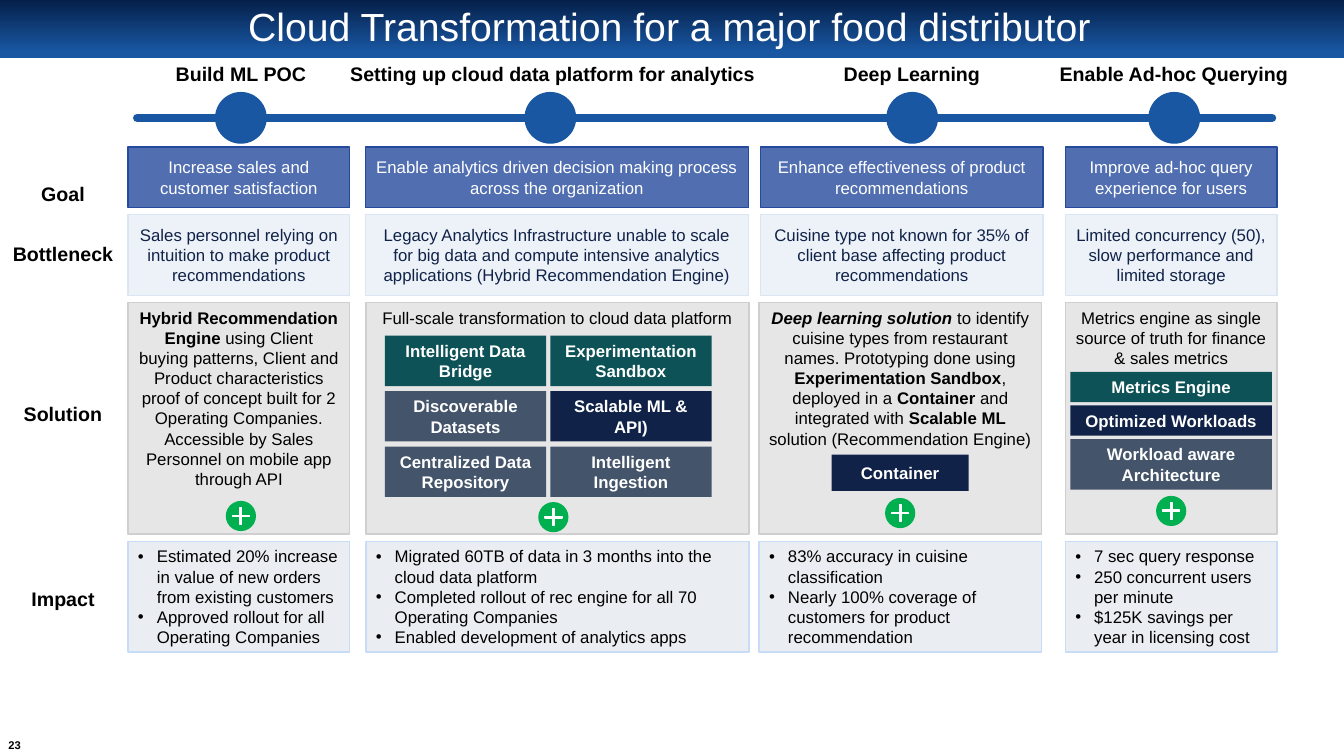
from dataclasses import dataclass
from typing import Optional, Union

import pptx
import pptx.dml.color
import pptx.enum.shapes
import pptx.enum.text
import pptx.oxml.ns
import pptx.util
from lxml import etree

Pt = pptx.util.Pt
SHAPE = pptx.enum.shapes.MSO_SHAPE
ALIGN = pptx.enum.text.PP_ALIGN
ANCHOR = pptx.enum.text.MSO_ANCHOR
qn = pptx.oxml.ns.qn

COLORS = {
    "white": "FFFFFF", "black": "000000", "banner_top": "052049", "blue": "1957A3",
    "goal": "254A9D", "bottleneck": "DBE6F2", "solution": "D0CECE",
    "impact": "D6DCE5", "impact_border": "C7DCF6", "navy": "112248",
    "teal": "0D5256", "slate": "44546A", "green": "00B050",
}


@dataclass(frozen=True)
class Run:
    text: str
    bold: bool = False
    italic: bool = False


Text = Union[str, tuple[Run, ...]]


@dataclass(frozen=True)
class Box:
    left: float
    top: float
    width: float
    height: float


@dataclass(frozen=True)
class Row:
    label: str
    label_top: float
    height: float
    fill: str
    border: str
    opacity: int
    text_color: str
    anchor: ANCHOR
    bullet: bool = False


@dataclass(frozen=True)
class Stage:
    heading: str
    heading_center: float
    heading_width: float
    milestone_center: float
    upper_left: float
    lower_left: float
    width: float
    badge_left: float
    badge_top: float
    texts: tuple[Text, Text, Text, Text]


@dataclass(frozen=True)
class Component:
    text: str
    fill: str
    box: Box


ROW_TOP, ROW_GAP = 105.1, 5.04
ROWS = [
    Row("Goal", 126, 43.2, "goal", "goal", 80, "white", ANCHOR.MIDDLE),
    Row("Bottleneck", 169.2, 57.6, "bottleneck", "bottleneck", 50, "navy", ANCHOR.MIDDLE),
    Row("Solution", 283.7, 165.6, "solution", "solution", 50, "black", ANCHOR.TOP),
    Row("Impact", 415.4, 79.2, "impact", "impact_border", 50, "black", ANCHOR.TOP, True),
]
STAGES = [
    Stage("Build ML POC", 172.1, 135.4, 172.1, 91.5, 91.5, 158.4, 161.3, 357.8, (
        "Increase sales and customer satisfaction",
        "Sales personnel relying on intuition to make product recommendations",
        (Run("Hybrid Recommendation Engine", bold=True),
         Run(" using Client buying patterns, Client and Product characteristics proof of concept "
             "built for 2 Operating Companies. Accessible by Sales Personnel on mobile app through API")),
        "Estimated 20% increase in value of new orders from existing customers\n"
        "Approved rollout for all Operating Companies")),
    Stage("Setting up cloud data platform for analytics", 394.9, 357.8, 393.1,
          261, 261.4, 273.6, 384.5, 358.6, (
        "Enable analytics driven decision making process across the organization",
        "Legacy Analytics Infrastructure unable to scale for big data and compute intensive "
        "analytics applications (Hybrid Recommendation Engine)",
        "Full-scale transformation to cloud data platform",
        "Migrated 60TB of data in 3 months into the cloud data platform\n"
        "Completed rollout of rec engine for all 70 Operating Companies\n"
        "Enabled development of analytics apps")),
    Stage("Deep Learning", 651.4, 120.2, 651.6, 543.4, 542.3, 201.6, 632.2, 355.7, (
        "Enhance effectiveness of product recommendations",
        "Cuisine type not known for 35% of client base affecting product recommendations",
        (Run("Deep learning solution ", bold=True, italic=True),
         Run("to identify cuisine types from restaurant names. Prototyping done using "),
         Run("Experimentation Sandbox", bold=True), Run(", deployed in a "),
         Run("Container ", bold=True), Run("and integrated with "),
         Run("Scalable ML ", bold=True), Run("solution (Recommendation Engine)")),
        "83% accuracy in cuisine classification\n"
        "Nearly 100% coverage of customers for product recommendation")),
    Stage("Enable Ad-hoc Querying", 838.5, 196.6, 838.8, 761, 761, 151.2, 825.8, 354.2, (
        "Improve ad-hoc query experience for users",
        "Limited concurrency (50), slow performance and limited storage",
        "Metrics engine as single source of truth for finance & sales metrics",
        "7 sec query response\n250 concurrent users per minute\n"
        "$125K savings per year in licensing cost")),
]
PLATFORM_PARTS = [
    ("Intelligent Data Bridge", "teal"), ("Experimentation Sandbox", "teal"),
    ("Discoverable Datasets", "slate"), ("Scalable ML & API)", "navy"),
    ("Centralized Data Repository", "slate"), ("Intelligent Ingestion", "slate"),
]
COMPONENTS = [
    Component(text, fill, Box(275 + index % 2 * 118.1, 239.8 + index // 2 * 39.6, 115.2, 36))
    for index, (text, fill) in enumerate(PLATFORM_PARTS)
] + [
    Component("Container", "navy", Box(594, 324.7, 97.9, 25.9)),
    Component("Metrics Engine", "teal", Box(764.6, 265.7, 144, 21.6)),
    Component("Optimized Workloads", "navy", Box(764.6, 289.6, 144, 21.6)),
    Component("Workload aware Architecture", "slate", Box(764.6, 313.7, 144, 36)),
]


def rgb(name: str) -> pptx.dml.color.RGBColor:
    return pptx.dml.color.RGBColor.from_string(COLORS[name])


def place(box: Box) -> tuple:
    return Pt(box.left), Pt(box.top), Pt(box.width), Pt(box.height)


def write_text(shape, text: Text, *, size: float = 12, color: str = "black", bold: bool = False,
               align: ALIGN = ALIGN.CENTER, anchor: ANCHOR = ANCHOR.MIDDLE, bullet: bool = False,
               wrap: bool = True, inset: Optional[float] = None, spacing: float = 1.0) -> None:
    frame = shape.text_frame
    frame.word_wrap = wrap
    frame.vertical_anchor = anchor
    if inset is not None:
        frame.margin_left = frame.margin_right = frame.margin_top = frame.margin_bottom = Pt(inset)
    lines = [(Run(line, bold),) for line in text.split("\n")] if isinstance(text, str) else [text]
    for index, line in enumerate(lines):
        paragraph = frame.add_paragraph() if index else frame.paragraphs[0]
        paragraph.alignment = align
        paragraph.line_spacing = spacing
        if bullet:
            properties = paragraph._p.get_or_add_pPr()
            properties.set("marL", str(Pt(13.5)))
            properties.set("indent", str(-Pt(13.5)))
            etree.SubElement(properties, qn("a:buFont"), typeface="Arial")
            etree.SubElement(properties, qn("a:buChar"), char="•")
        for part in line:
            run = paragraph.add_run()
            run.text = part.text
            run.font.name = "Arial"
            run.font.size = Pt(size)
            run.font.bold = part.bold
            run.font.italic = part.italic
            run.font.color.rgb = rgb(color)


def add_label(slide, text: str, box: Box, **text_format) -> None:
    write_text(slide.shapes.add_textbox(*place(box)), text, **text_format)


def add_figure(slide, kind: SHAPE, box: Box, fill: str, border: Optional[str] = None,
               opacity: int = 100):
    shape = slide.shapes.add_shape(kind, *place(box))
    shape.shadow.inherit = False
    shape.fill.solid()
    shape.fill.fore_color.rgb = rgb(fill)
    if opacity < 100:
        color = shape._element.spPr.find(qn("a:solidFill"))[0]
        etree.SubElement(color, qn("a:alpha"), val=str(opacity * 1000))
    if border:
        shape.line.color.rgb = rgb(border)
        shape.line.width = Pt(1)
    else:
        shape.line.fill.background()
    return shape


def add_banner(slide) -> None:
    banner = add_figure(slide, SHAPE.RECTANGLE, Box(0, 0, 960, 41.5), "blue")
    banner.fill.gradient()
    banner.fill.gradient_angle = 270
    for stop, color, position in zip(banner.fill.gradient_stops, ("banner_top", "blue"), (0, 0.9)):
        stop.color.rgb = rgb(color)
        stop.position = position
    add_label(slide, "Cloud Transformation for a major food distributor",
              Box(47.5, 4.3, 861, 32.4), size=28, color="white", spacing=0.9)


def add_timeline(slide) -> None:
    line = slide.shapes.add_connector(pptx.enum.shapes.MSO_CONNECTOR.STRAIGHT,
                                      Pt(98), Pt(84.2), Pt(908.6), Pt(84.2))
    line.line.color.rgb = rgb("blue")
    line.line.width = Pt(6)
    properties = line._element.spPr
    properties.find(qn("a:ln")).set("cap", "rnd")
    etree.SubElement(properties, qn("a:effectLst"))


def add_stage(slide, stage: Stage) -> None:
    add_figure(slide, SHAPE.OVAL, Box(stage.milestone_center - 18, 66.2, 36, 36), "blue", "blue")
    heading_left = stage.heading_center - stage.heading_width / 2
    add_label(slide, stage.heading, Box(heading_left, 40.7, stage.heading_width, 24.2),
              size=14, bold=True, wrap=False)
    top = ROW_TOP
    for index, (row, text) in enumerate(zip(ROWS, stage.texts)):
        left = stage.upper_left if index < 2 else stage.lower_left
        cell = add_figure(slide, SHAPE.RECTANGLE, Box(left, top, stage.width, row.height),
                          row.fill, row.border, row.opacity)
        write_text(cell, text, color=row.text_color, anchor=row.anchor, bullet=row.bullet,
                   align=ALIGN.LEFT if row.bullet else ALIGN.CENTER)
        top += row.height + ROW_GAP
    add_figure(slide, SHAPE.OVAL, Box(stage.badge_left, stage.badge_top, 21.6, 21.6), "green")
    plus = add_figure(slide, SHAPE.CROSS, Box(stage.badge_left + 4.7, stage.badge_top + 4.7, 12.2, 12.2),
                      "white", "white")
    plus.adjustments[0] = 0.457


def main() -> None:
    presentation = pptx.Presentation()
    presentation.slide_width, presentation.slide_height = Pt(960), Pt(540)
    slide = presentation.slides.add_slide(presentation.slide_layouts[6])
    add_banner(slide)
    add_timeline(slide)
    for row in ROWS:
        add_label(slide, row.label, Box(0, row.label_top, 90, 24.2), size=14, bold=True, wrap=False)
    for stage in STAGES:
        add_stage(slide, stage)
    for component in COMPONENTS:
        shape = add_figure(slide, SHAPE.RECTANGLE, component.box, component.fill)
        write_text(shape, component.text, color="white", bold=True)
    add_label(slide, "23", Box(1.4, 525.6, 18, 13.7), size=8, bold=True, wrap=False, inset=0)
    presentation.save("out.pptx")


if __name__ == "__main__":
    main()
